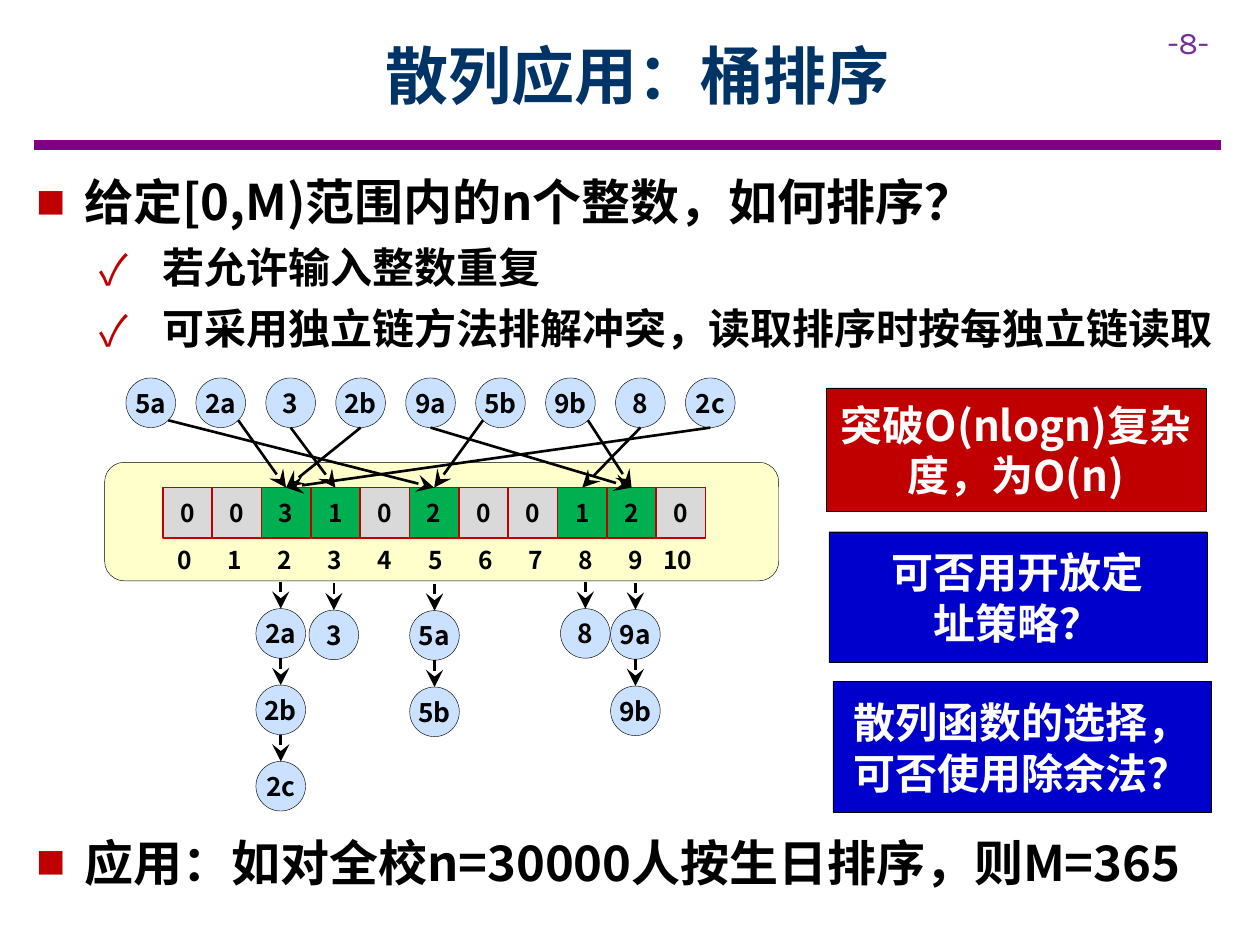
"""Build the bucket sort slide with its hash table, chains and callouts."""
from dataclasses import dataclass
from math import sqrt

from lxml.etree import SubElement
from pptx import Presentation
from pptx.dml.color import RGBColor
from pptx.enum.shapes import MSO_CONNECTOR, MSO_SHAPE
from pptx.enum.text import MSO_ANCHOR, MSO_AUTO_SIZE, PP_ALIGN
from pptx.oxml.ns import qn
from pptx.util import Cm, Pt

RECT, ROUND, OVAL = MSO_SHAPE.RECTANGLE, MSO_SHAPE.ROUNDED_RECTANGLE, MSO_SHAPE.OVAL
LINE = MSO_CONNECTOR.STRAIGHT
MIDDLE, TOP = MSO_ANCHOR.MIDDLE, MSO_ANCHOR.TOP
CENTER, LEFT = PP_ALIGN.CENTER, PP_ALIGN.LEFT
FIXED = MSO_AUTO_SIZE.NONE


@dataclass(frozen=True)
class Theme:
    """Colours, fonts and type sizes."""
    font: str = "Noto Sans CJK SC"
    latin: str = "Karla"
    ink: str = "000000"
    white: str = "FFFFFF"
    navy: str = "003366"
    rule: str = "800080"
    page: str = "7030A0"
    red: str = "C00000"
    blue: str = "0000CC"
    panel: str = "FFFFCC"
    ball: str = "CAE2FF"
    empty: str = "D9D9D9"
    used: str = "00B050"
    title: int = 36
    head: int = 28
    sub: int = 24
    number: int = 18
    node: int = 15
    small: int = 14
    pitch: float = 1.21


T = Theme()
TITLE = "散列应用：桶排序"
INTRO = [
    (0, "给定[0,M)范围内的n个整数，如何排序？"),
    (1, "若允许输入整数重复"),
    (1, "可采用独立链方法排解冲突，读取排序时按每独立链读取"),
]
USE = [(0, "应用：如对全校n=30000人按生日排序，则M=365")]
LEVELS = [("■", 60, 0.97, -0.97, T.head), ("✓", 100, 2.54, -1.27, T.sub)]
COUNTS = [0, 0, 3, 1, 0, 2, 0, 0, 1, 2, 0]
INPUTS = [("5a", 5, 1), ("2a", 2, 1), ("3", 3, 0), ("2b", 2, 0), ("9a", 9, 0),
          ("5b", 5, -1), ("9b", 9, 1), ("8", 8, 0), ("2c", 2, 0)]
CHAINS = [
    (5.16, 12.27, ["2a", "2b", "2c"]),
    (6.23, 12.3, ["3"]),
    (8.26, 12.31, ["5a", "5b"]),
    (11.3, 12.27, ["8"]),
    (12.31, 12.29, ["9a", "9b"]),
]
CALLOUTS = [
    ((16.66, 7.82, 7.65, 2.49), T.red, ["突破O(nlogn)复杂度，为O(n)"]),
    ((16.71, 10.72, 7.62, 2.64), T.blue, ["可否用开放定", "址策略？"]),
    ((16.79, 13.74, 7.62, 2.64), T.blue, ["散列函数的选择，可否使用除余法？"]),
]
BALL, GAP = 1.0, 0.54
ROW = (2.54, 7.62, 1.41)
CELLS = (3.28, 9.83, 9.95 / 10, 1.02)
MARKS = (4.14, 10.85, 1.01)


def rgb(code):
    return RGBColor.from_string(code)


def place(shape, box):
    shape.left, shape.top, shape.width, shape.height = map(Cm, box)


def write(para, text, size, color, bold=True, face=T.font):
    run = para.add_run()
    run.text = text
    font = run.font
    font.name, font.size, font.bold = face, Pt(size), bold
    font.color.rgb = rgb(color)
    SubElement(run._r.get_or_add_rPr(), qn("a:ea"), typeface=face)
    para.line_spacing = Pt(round(size * T.pitch, 1))
    para.space_before = Pt(0)


def fill(frame, lines, size, color, align=CENTER, anchor=MIDDLE, **style):
    frame.vertical_anchor = anchor
    for k, text in enumerate(lines):
        para = frame.add_paragraph() if k else frame.paragraphs[0]
        para.alignment = align
        write(para, text, size, color, **style)


def pad(frame, side, edge):
    frame.margin_left = frame.margin_right = Cm(side)
    frame.margin_top = frame.margin_bottom = Cm(edge)


def draw(slide, kind, box, color, edge=T.ink, weight=0.25):
    shape = slide.shapes.add_shape(kind, *map(Cm, box))
    shape.shadow.inherit = False
    shape.fill.solid()
    shape.fill.fore_color.rgb = rgb(color)
    shape.line.color.rgb = rgb(edge)
    shape.line.width = Pt(weight)
    shape.text_frame.word_wrap = True
    return shape


def link(slide, start, end, color=T.ink, weight=1.5, head=True):
    line = slide.shapes.add_connector(LINE, *map(Cm, (*start, *end)))
    line.line.color.rgb = rgb(color)
    line.line.width = Pt(weight)
    props = line._element.spPr
    if head:
        SubElement(props.find(qn("a:ln")), qn("a:tailEnd"),
                   type="stealth", w="lg", len="lg")
    SubElement(props, qn("a:effectLst"))
    return line


def ball(slide, x, y, text):
    shape = draw(slide, OVAL, (x, y, BALL, BALL), T.ball)
    pad(shape.text_frame, 0, 0.25)
    fill(shape.text_frame, [text], T.node, T.ink)


def label(slide, box, text, size, color, wrap, **style):
    frame = slide.shapes.add_textbox(*map(Cm, box)).text_frame
    frame.word_wrap = wrap
    fill(frame, [text], size, color, LEFT, TOP, **style)


def bullets(shape, box, items):
    place(shape, box)
    frame = shape.text_frame
    frame.auto_size, frame.vertical_anchor = FIXED, TOP
    for k, (level, text) in enumerate(items):
        para = frame.add_paragraph() if k else frame.paragraphs[0]
        para.level = level
        mark, scale, left, hang, size = LEVELS[level]
        props = para._p.get_or_add_pPr()
        props.set("marL", str(Cm(left)))
        props.set("indent", str(Cm(hang)))
        SubElement(SubElement(props, qn("a:buClr")), qn("a:srgbClr"), val=T.red)
        SubElement(props, qn("a:buSzPct"), val=str(scale * 1000))
        SubElement(props, qn("a:buFont"), typeface=T.font)
        SubElement(props, qn("a:buChar"), char=mark)
        para.space_after = Pt(6)
        write(para, text, size, T.ink)


def table(slide):
    draw(slide, ROUND, (2.11, 9.32, 13.59, 2.39), T.panel)
    x, y, wide, high = CELLS
    right, top, step = MARKS
    cells = []
    for k, count in enumerate(COUNTS):
        color = T.used if count else T.empty
        cell = draw(slide, RECT, (x + k * wide, y, wide, high), color, T.red, 1)
        pad(cell.text_frame, 0, 0)
        fill(cell.text_frame, [str(count)], T.small, T.ink)
        cells.append(cell)
        span = 0.5 + 0.31 * len(str(k))
        label(slide, (right + k * step - span, top, span, 0.86),
              str(k), T.small, T.ink, False)
    return cells


def inputs(slide, cells):
    x, y, step = ROW
    half = BALL / 2
    for k, (text, slot, side) in enumerate(INPUTS):
        ball(slide, x + k * step, y, text)
        drop = half / sqrt(2) if side else half
        start = (x + k * step + half + side * drop, y + half + drop)
        link(slide, start, start).end_connect(cells[slot], 0)


def chains(slide):
    for x, top, items in CHAINS:
        for k, text in enumerate(items):
            y = top + k * (BALL + GAP)
            link(slide, (x + BALL / 2, y - GAP), (x + BALL / 2, y))
            ball(slide, x, y, text)


def main():
    deck = Presentation()
    deck.slide_width, deck.slide_height = Cm(25.4), Cm(19.05)
    slide = deck.slides.add_slide(deck.slide_layouts[3])
    title, intro, use = slide.placeholders
    link(slide, (0.69, 2.92), (24.61, 2.92), T.rule, 6, False)
    label(slide, (23.29, 0.33, 2.11, 1.02), "-8-", T.number, T.page, True,
          bold=False, face=T.latin)
    place(title, (2.29, 0.23, 21.11, 2.54))
    title.text_frame.auto_size = FIXED
    fill(title.text_frame, [TITLE], T.title, T.navy)
    bullets(intro, (0.48, 3.33, 24.61, 10.34), INTRO)
    bullets(use, (0.48, 16.64, 24.61, 1.45), USE)
    inputs(slide, table(slide))
    chains(slide)
    for box, color, lines in CALLOUTS:
        note = draw(slide, RECT, box, color)
        pad(note.text_frame, 0.25, 0.25)
        fill(note.text_frame, lines, T.sub, T.white)
    deck.save("out.pptx")


if __name__ == "__main__":
    main()
